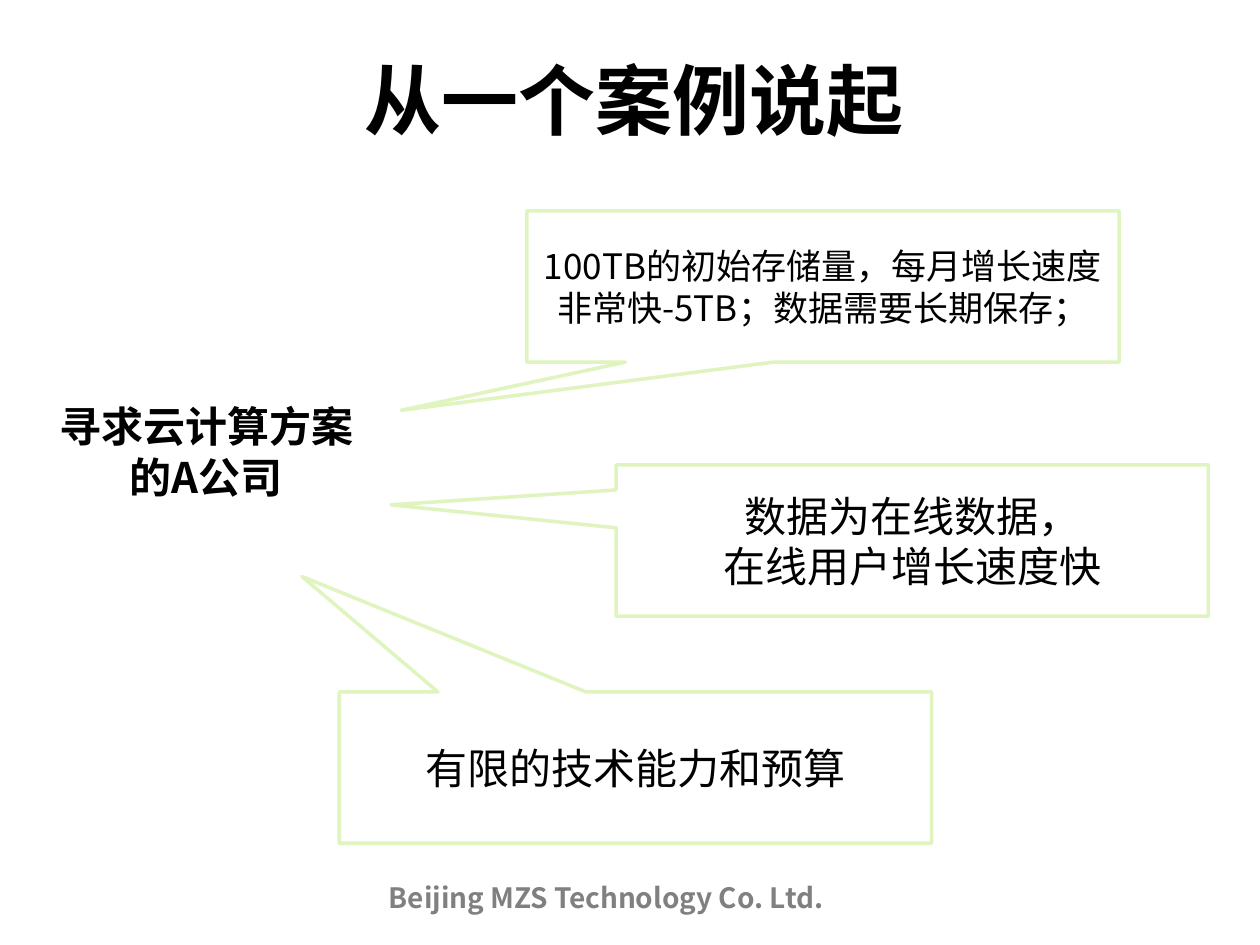
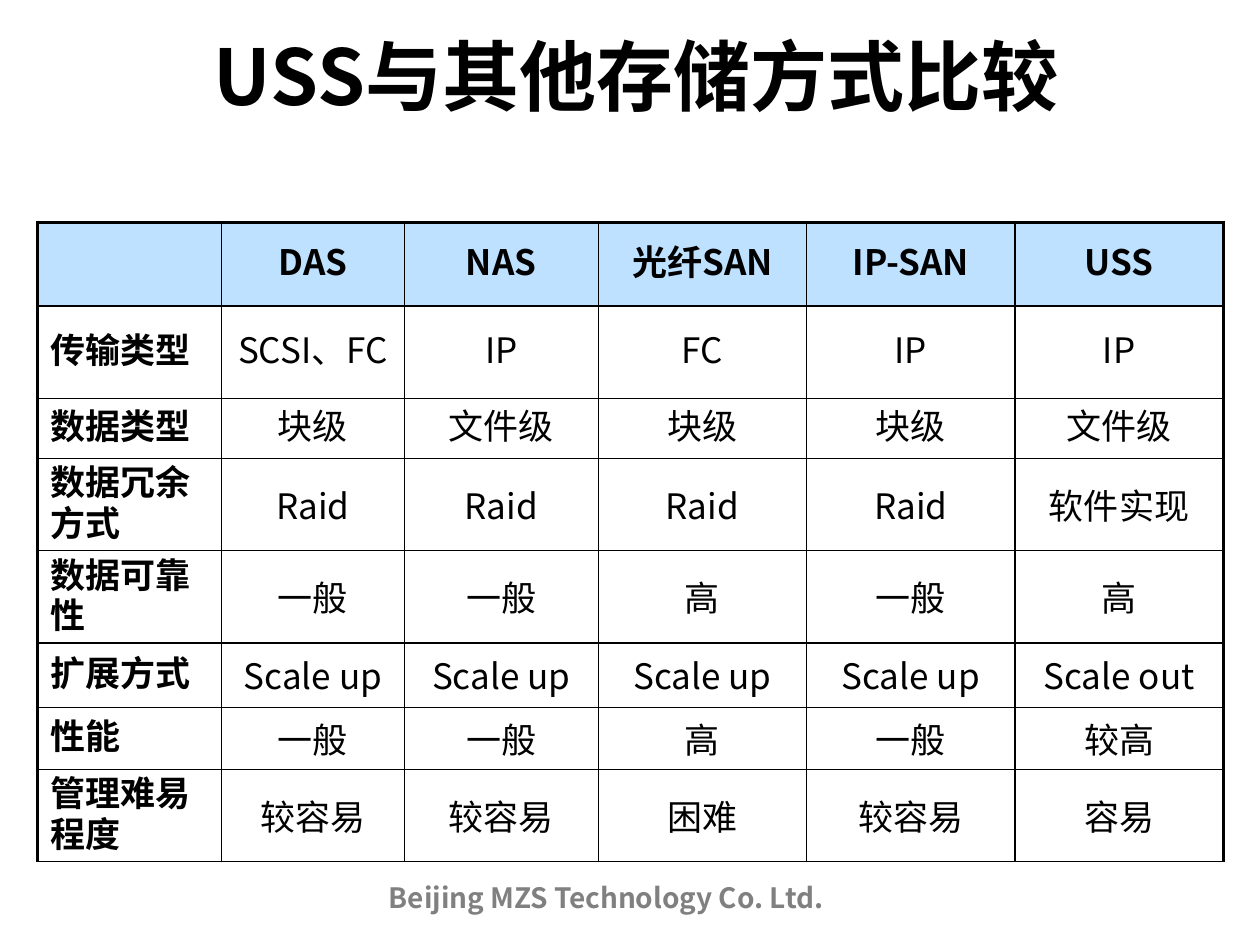
from lxml.etree import SubElement
from pptx import Presentation
from pptx.dml.color import RGBColor
from pptx.enum.shapes import MSO_SHAPE
from pptx.enum.text import MSO_ANCHOR, MSO_AUTO_SIZE, PP_ALIGN
from pptx.oxml.ns import qn
from pptx.util import Cm, Pt

FONT = "Noto Sans CJK SC"
BLACK, WHITE, GREY = "000000", "FFFFFF", "808080"
CALLOUT_GREEN, HEADER_BLUE = "DFF4BE", "BDE1FF"
FOOTER = "Beijing MZS Technology Co. Ltd."


def color(hex_code):
    return RGBColor.from_string(hex_code)


def write(text_frame, text, size, bold=False, hex_code=BLACK, align=PP_ALIGN.CENTER):
    """Fill a text frame, one paragraph per line, in the deck's font."""
    text_frame.text = text
    for paragraph in text_frame.paragraphs:
        paragraph.alignment = align
        font = paragraph.font
        font.size, font.bold, font.name = Pt(size), bold, FONT
        font.color.rgb = color(hex_code)
        SubElement(font._element, qn("a:ea"), typeface=FONT)


presentation = Presentation()
presentation.slide_width, presentation.slide_height = Cm(25.4), Cm(19.05)

# Titles and footers
slides = []
for title_text, left, top in [("从一个案例说起", 0.84, 1.2), ("USS与其他存储方式比较", 0.88, 0.72)]:
    slide = presentation.slides.add_slide(presentation.slide_layouts[5])
    slides.append(slide)

    title = slide.shapes.title
    title.left, title.top, title.width, title.height = Cm(left), Cm(top), Cm(23.9), Cm(1.8)
    frame = title.text_frame
    write(frame, title_text, 44, bold=True)
    frame.paragraphs[0].line_spacing = 0.9
    frame.margin_left = frame.margin_right = 0
    frame.vertical_anchor = MSO_ANCHOR.MIDDLE
    frame.auto_size = MSO_AUTO_SIZE.NONE

    footer = slide.shapes.add_textbox(Cm(7.59), Cm(17.63), Cm(9.47), Cm(0.94)).text_frame
    write(footer, FOOTER, 16, bold=True, hex_code=GREY, align=PP_ALIGN.LEFT)
    footer.word_wrap = False
    footer.auto_size = MSO_AUTO_SIZE.SHAPE_TO_FIT_TEXT

case_slide, comparison_slide = slides

# Case: the company and its three needs
company = case_slide.shapes.add_shape(MSO_SHAPE.OVAL, Cm(0.58), Cm(6.49), Cm(7.16), Cm(5.21))
write(company.text_frame, "寻求云计算方案\n的A公司", 24, bold=True)
company.text_frame.word_wrap = False
company.fill.solid()
company.fill.fore_color.rgb = color(WHITE)
company.line.color.rgb = color(WHITE)
company.line.width = Pt(2)
company.shadow.inherit = False

# text, size, left, top, pointer tip (x, y), opacity in percent
needs = [
    ("100TB的初始存储量，每月增长速度\n非常快-5TB；数据需要长期保存；", 20, 10.62, 4.25, (-0.712, 0.819), 65),
    ("数据为在线数据，\n在线用户增长速度快", 24, 12.42, 9.37, (-0.88, -0.235), 35),
    ("有限的技术能力和预算", 24, 6.84, 13.95, (-0.563, -1.263), 50),
]
for text, size, left, top, tip, opacity in needs:
    callout = case_slide.shapes.add_shape(
        MSO_SHAPE.RECTANGULAR_CALLOUT, Cm(left), Cm(top), Cm(11.94), Cm(3.05))
    callout.adjustments[0], callout.adjustments[1] = tip
    write(callout.text_frame, text, size)
    callout.fill.solid()
    callout.fill.fore_color.rgb = color(WHITE)
    fill_color = callout._element.spPr.find(qn("a:solidFill"))[0]
    SubElement(fill_color, qn("a:alpha"), val=str(opacity * 1000))
    callout.line.color.rgb = color(CALLOUT_GREEN)
    callout.line.width = Pt(2)
    callout.shadow.inherit = False

# Comparison of storage types
comparison = [
    ["", "DAS", "NAS", "光纤SAN", "IP-SAN", "USS"],
    ["传输类型", "SCSI、FC", "IP", "FC", "IP", "IP"],
    ["数据类型", "块级", "文件级", "块级", "块级", "文件级"],
    ["数据冗余方式", "Raid", "Raid", "Raid", "Raid", "软件实现"],
    ["数据可靠性", "一般", "一般", "高", "一般", "高"],
    ["扩展方式", "Scale up", "Scale up", "Scale up", "Scale up", "Scale out"],
    ["性能", "一般", "一般", "高", "一般", "较高"],
    ["管理难易程度", "较容易", "较容易", "困难", "较容易", "容易"],
]
column_widths = [3.71, 3.68, 3.91, 4.2, 4.2, 4.2]
row_heights = [1.69, 1.86, 1.21, 1.86, 1.86, 1.3, 1.25, 1.86]
last_column = len(column_widths) - 1

table = comparison_slide.shapes.add_table(
    len(row_heights), len(column_widths), Cm(0.76), Cm(4.48),
    Cm(sum(column_widths)), Cm(sum(row_heights))).table
table.first_row = table.horz_banding = False
for column, width in zip(table.columns, column_widths):
    column.width = Cm(width)
for row, height in zip(table.rows, row_heights):
    row.height = Cm(height)

for row_index, row_texts in enumerate(comparison):
    for column_index, text in enumerate(row_texts):
        cell = table.cell(row_index, column_index)
        is_header, is_label = row_index == 0, column_index == 0
        write(cell.text_frame, text, 20, bold=is_header or is_label,
              align=PP_ALIGN.LEFT if is_label else PP_ALIGN.CENTER)
        paragraph = cell.text_frame.paragraphs[0]
        paragraph.space_before = Pt(3.5)
        paragraph.line_spacing = 0.8 if is_label or row_index < 3 else 1.0
        cell.vertical_anchor = MSO_ANCHOR.MIDDLE
        cell.margin_top, cell.margin_bottom = Cm(0.1), Cm(0.13)

        thick_sides = {"L": is_label, "R": column_index == last_column, "T": is_header, "B": False}
        for side, is_thick in thick_sides.items():
            border = SubElement(cell._tc.get_or_add_tcPr(), qn(f"a:ln{side}"),
                                w=str(Pt(2.25 if is_thick else 1)))
            SubElement(SubElement(border, qn("a:solidFill")), qn("a:srgbClr"), val=BLACK)

        if is_header:
            cell.fill.solid()
            cell.fill.fore_color.rgb = color(HEADER_BLUE)
        else:
            cell.fill.background()

presentation.save("out.pptx")
